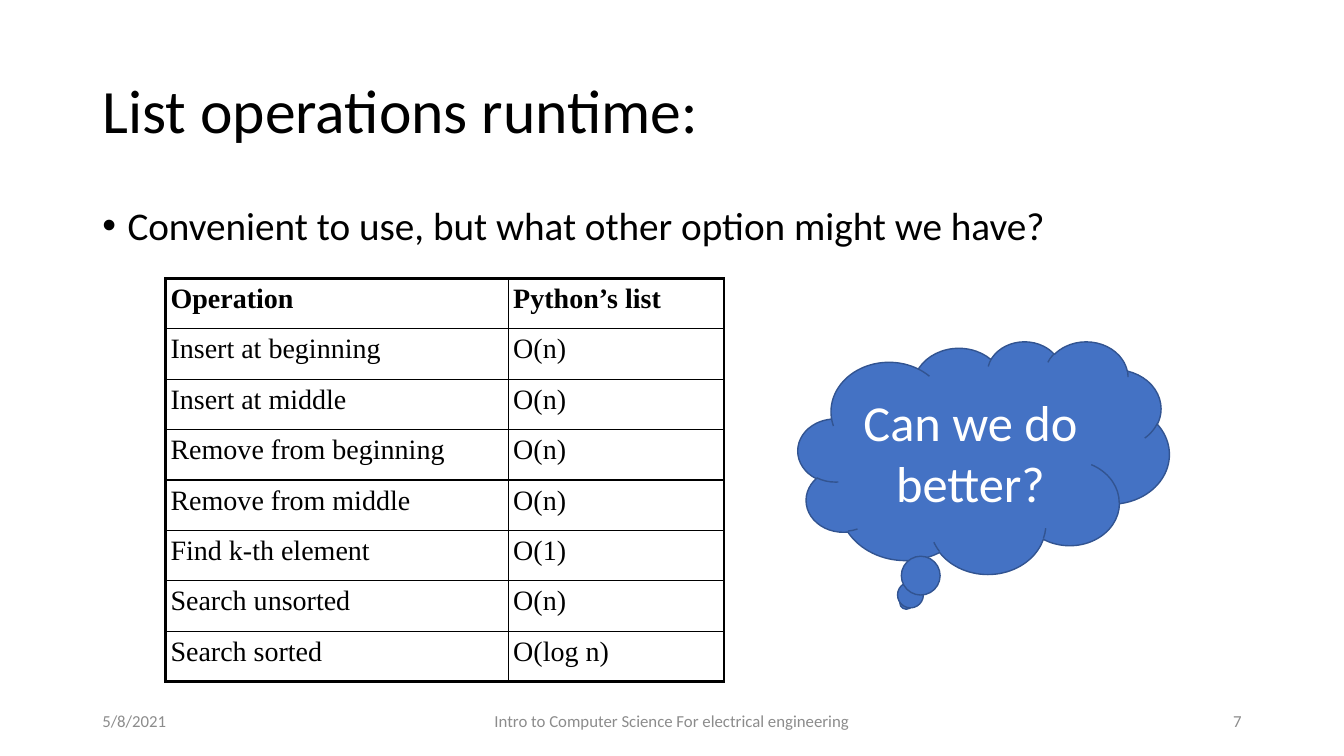
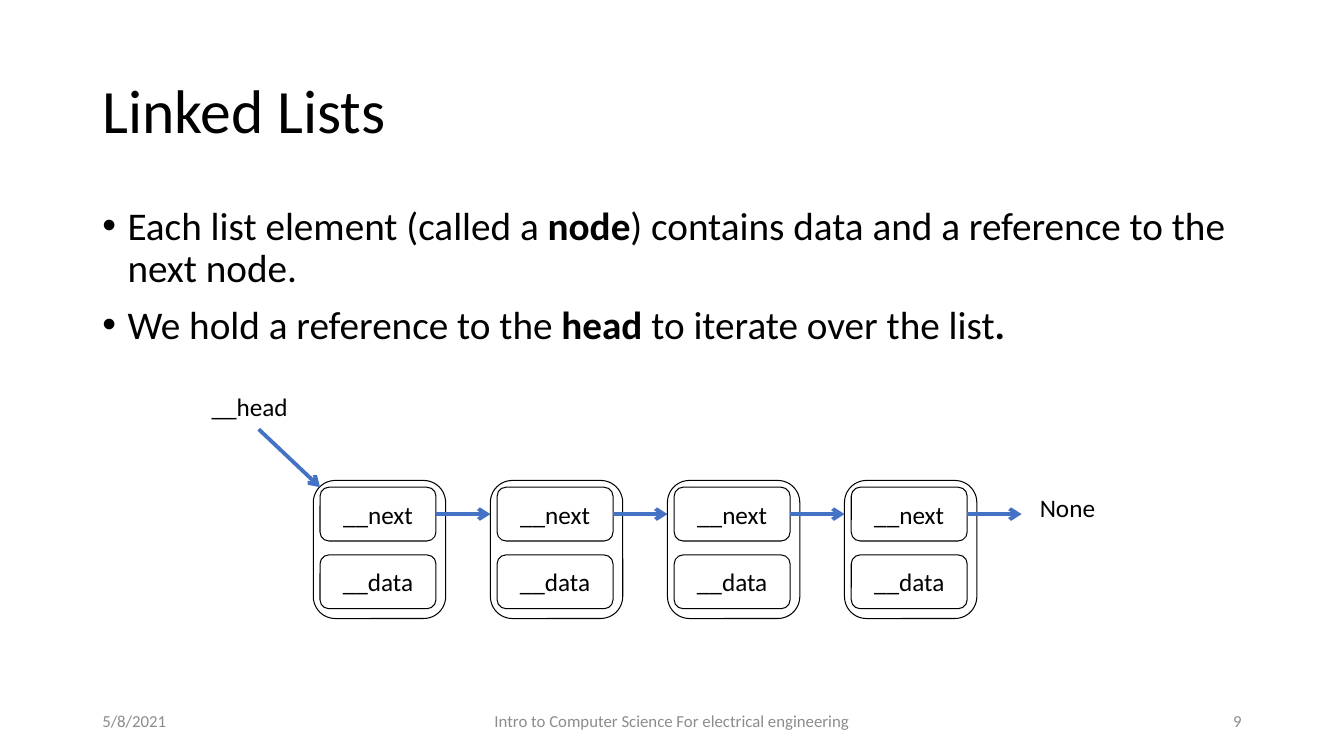
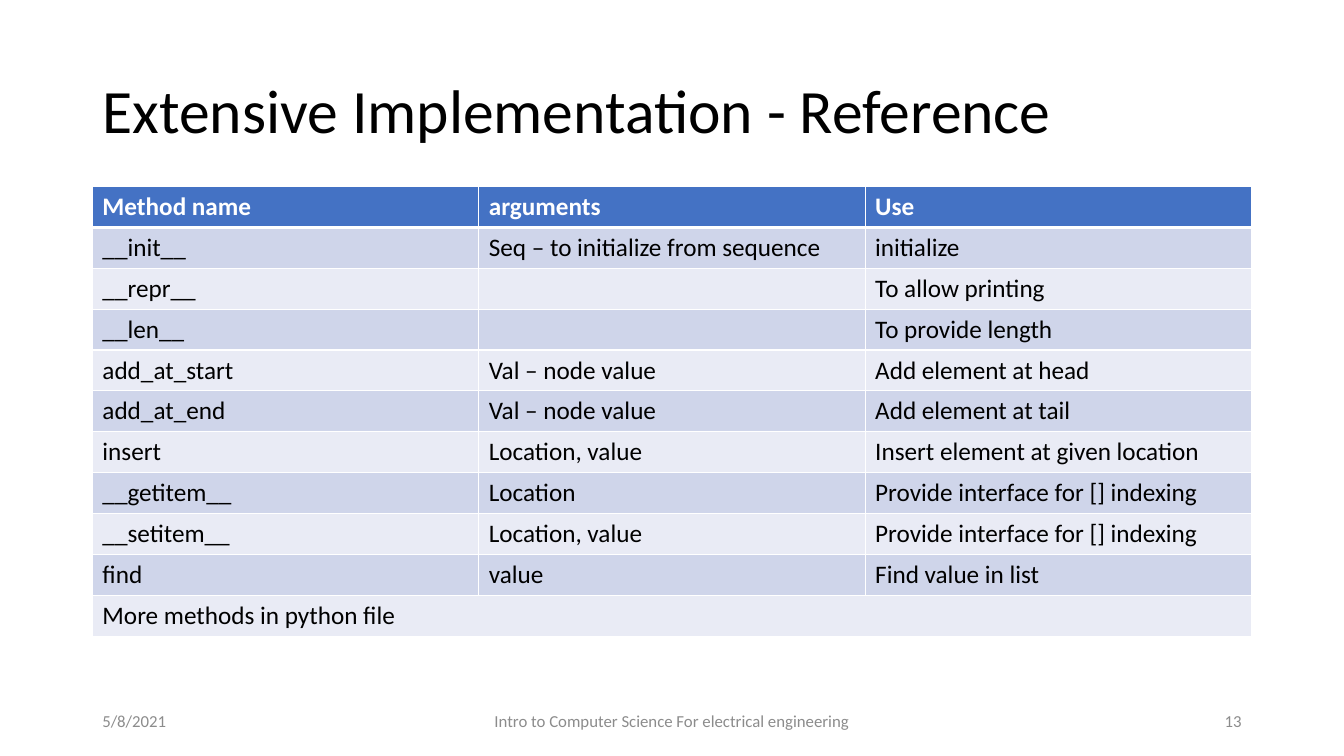
"""Build three lecture slides about Python lists and linked lists."""
from dataclasses import dataclass

from lxml import etree
from pptx import Presentation
from pptx import util as u
from pptx.dml.color import RGBColor
from pptx.enum import shapes, text
from pptx.oxml.ns import qn

LEFT, MID, RIGHT = text.PP_ALIGN.LEFT, text.PP_ALIGN.CENTER, text.PP_ALIGN.RIGHT
TOP, CORE = text.MSO_ANCHOR.TOP, text.MSO_ANCHOR.MIDDLE
COLS, ROWS = 160, 90


@dataclass(frozen=True)
class Theme:
    """Colours, fonts and type sizes of the deck."""
    ink: str = "000000"
    paper: str = "FFFFFF"
    blue: str = "4472C4"
    edge: str = "325491"
    grey: str = "8C8C8C"
    bands: tuple = ("E9EBF5", "CFD5EA")
    sans: str = "Calibri"
    serif: str = "Times New Roman"
    title: int = 44
    cloud: int = 36
    body: int = 28
    cell: int = 20
    label: int = 18
    foot: int = 12


@dataclass(frozen=True)
class Look:
    """Style of one table."""
    font: str
    size: int
    line: str
    ink: str
    outer: float = 1
    under: float = 1
    fill: str = ""
    bands: tuple = ("", "")
    pad: float = 0.1
    gap: int = 0


def tint(color):
    """Turn a hex string into a colour."""
    return RGBColor.from_string(color)


class Deck:
    """Hold the style, the current slide and the elements to draw."""

    def __init__(self, theme):
        """Start a wide presentation."""
        self.theme = theme
        self.show = Presentation()
        self.show.slide_width = u.Inches(13.333)
        self.show.slide_height = u.Inches(7.5)
        self.slide = None

    def place(self, *spots):
        """Turn alternating grid columns and rows into lengths."""
        units = (self.show.slide_width / COLS, self.show.slide_height / ROWS)
        return [u.Emu(round(spot * units[i % 2])) for i, spot in enumerate(spots)]

    def page(self, title, number):
        """Add a slide with its title and footer."""
        theme = self.theme
        self.slide = self.show.slides.add_slide(self.show.slide_layouts[6])
        self.words((11, 4.8, 138, 17.4), title, theme.title, anchor=CORE, lead=0.9)
        feet = (
            (11, 36, "5/8/2021", LEFT),
            (53, 54, "Intro to Computer Science For electrical engineering", MID),
            (113, 36, str(number), RIGHT),
        )
        for x, wide, line, align in feet:
            self.words((x, 83.4, wide, 4.8), line, theme.foot, theme.grey, align, CORE)

    def run(self, para, line, size, color, bold=False, font=None):
        """Add one styled run."""
        run = para.add_run()
        run.text = line
        run.font.name = font or self.theme.sans
        run.font.size = u.Pt(size)
        run.font.bold = bold
        run.font.color.rgb = tint(color)

    def words(self, box, line, size, color=None, align=LEFT, anchor=TOP, lead=None):
        """Add a text box with one line of text."""
        frame = self.slide.shapes.add_textbox(*self.place(*box)).text_frame
        frame.word_wrap = True
        frame.vertical_anchor = anchor
        para = frame.paragraphs[0]
        para.alignment = align
        para.line_spacing = lead
        self.run(para, line, size, color or self.theme.ink)

    def points(self, items):
        """Add bullets whose runs alternate between plain and bold."""
        frame = self.slide.shapes.add_textbox(*self.place(11, 24, 138, 57)).text_frame
        frame.word_wrap = True
        for i, runs in enumerate(items):
            para = frame.add_paragraph() if i else frame.paragraphs[0]
            para.line_spacing = 0.9
            para.space_before = u.Pt(10)
            for j, line in enumerate(runs):
                self.run(para, line, self.theme.body, self.theme.ink, j % 2 == 1)
            props = para._p.get_or_add_pPr()
            props.set("marL", str(u.Inches(0.25)))
            props.set("indent", str(-u.Inches(0.25)))
            etree.SubElement(props, qn("a:buFont")).set("typeface", "Arial")
            etree.SubElement(props, qn("a:buChar")).set("char", "•")

    def shape(self, kind, box, line, width, fill="", label="", size=18, color=None):
        """Add a preset shape with centred text."""
        shape = self.slide.shapes.add_shape(kind, *self.place(*box))
        shape.shadow.inherit = False
        if fill:
            shape.fill.solid()
            shape.fill.fore_color.rgb = tint(fill)
        else:
            shape.fill.background()
        shape.line.color.rgb = tint(line)
        shape.line.width = u.Pt(width)
        if label:
            frame = shape.text_frame
            frame.word_wrap = True
            frame.vertical_anchor = CORE
            para = frame.paragraphs[0]
            para.alignment = MID
            self.run(para, label, size, color or self.theme.ink)
        return shape

    def arrow(self, start, end, source=None):
        """Add an arrow, joined to the right side of its source if given."""
        link = self.slide.shapes.add_connector(
            shapes.MSO_CONNECTOR.STRAIGHT, *self.place(*start, *end))
        if source is not None:
            link.begin_connect(source, 3)
        link.line.color.rgb = tint(self.theme.blue)
        link.line.width = u.Pt(2.75)
        etree.SubElement(link.line._get_or_add_ln(), qn("a:tailEnd")).set("type", "arrow")
        etree.SubElement(link._element.spPr, qn("a:effectLst"))

    def node(self, x, y):
        """Add a list node and return its reference box."""
        kind = shapes.MSO_SHAPE.ROUNDED_RECTANGLE
        ink = self.theme.ink
        self.shape(kind, (x, y, 15.76, 16.44), ink, 0.75)
        ref, _ = [
            self.shape(kind, (x + 0.8, y + 0.8 + 8.06 * i, 13.8, 6.4), ink, 0.75,
                       label=label, size=self.theme.label)
            for i, label in enumerate(("__next", "__data"))
        ]
        return ref

    def rule(self, cell, widths, color):
        """Draw the left, right, top and bottom borders of a cell."""
        props = cell._tc.get_or_add_tcPr()
        for i, (side, width) in enumerate(zip("LRTB", widths)):
            line = etree.Element(qn("a:ln" + side), w=str(u.Pt(width)))
            fill = etree.SubElement(line, qn("a:solidFill"))
            etree.SubElement(fill, qn("a:srgbClr")).set("val", color)
            props.insert(i, line)

    def table(self, spot, wides, high, rows, look):
        """Add a table with a header row."""
        tall, wide = len(rows), len(wides)
        box = self.place(*spot, sum(wides), high * tall)
        grid = self.slide.shapes.add_table(tall, wide, *box).table
        grid.first_row = grid.horz_banding = False
        for col, size in zip(grid.columns, wides):
            col.width = self.place(size)[0]
        for r, row in enumerate(rows):
            grid.rows[r].height = self.place(0, high)[1]
            above = look.outer if r == 0 else look.under if r == 1 else 1
            below = look.outer if r == tall - 1 else look.under if r == 0 else 1
            fill = look.bands[r % 2] if r else look.fill
            for c in range(wide):
                cell = grid.cell(r, c)
                cell.margin_left = cell.margin_right = u.Inches(look.pad)
                cell.margin_top = cell.margin_bottom = u.Inches(0.05)
                if fill:
                    cell.fill.solid()
                    cell.fill.fore_color.rgb = tint(fill)
                else:
                    cell.fill.background()
                left = look.outer if c == 0 else 1
                right = look.outer if c == wide - 1 else 1
                self.rule(cell, (left, right, above, below), look.line)
                if c < len(row) and row[c]:
                    para = cell.text_frame.paragraphs[0]
                    para.space_before = u.Pt(look.gap)
                    color = self.theme.ink if r else look.ink
                    self.run(para, row[c], look.size, color, r == 0, look.font)
            if len(row) < wide:
                grid.cell(r, len(row) - 1).merge(grid.cell(r, wide - 1))


def costs(deck):
    """Draw the slide of list run times."""
    theme = deck.theme
    deck.page("List operations runtime:", 7)
    deck.points([["Convenient to use, but what other option might we have?"]])
    rows = (
        ("Operation", "Python’s list"),
        ("Insert at beginning", "O(n)"),
        ("Insert at middle", "O(n)"),
        ("Remove from beginning", "O(n)"),
        ("Remove from middle", "O(n)"),
        ("Find k-th element", "O(1)"),
        ("Search unsorted", "O(n)"),
        ("Search sorted", "O(log n)"),
    )
    look = Look(theme.serif, theme.cell, theme.ink, theme.ink, outer=2.25, pad=0.05, gap=4)
    deck.table((19.7, 33.15), (40.8, 25.7), 6, rows, look)
    deck.shape(shapes.MSO_SHAPE.CLOUD_CALLOUT, (95, 40.6, 44.2, 27.7), theme.edge, 1,
               theme.blue, "Can we do better?", theme.cloud, theme.paper)


def chain(deck):
    """Draw the slide of linked nodes."""
    theme = deck.theme
    deck.page("Linked Lists", 9)
    deck.points([
        ["Each list element (called a ", "node",
         ") contains data and a reference to the next node."],
        ["We hold a reference to the ", "head ", "to iterate over the list", "."],
    ])
    first, top, step = 37.3, 57.2, 21.08
    for i in range(4):
        x = first + step * i
        ref = deck.node(x, top)
        deck.arrow((x + 14.6, top + 4), (x + step, top + 4), ref)
    deck.words((24, 46, 15.5, 5.8), "__head", theme.label)
    deck.arrow((30.8, 51.1), (first + 0.8, top + 0.8))
    deck.words((122.6, 58, 13.5, 5.8), "None", theme.label)


def methods(deck):
    """Draw the slide of class methods."""
    theme = deck.theme
    deck.page("Extensive Implementation - Reference", 13)
    rows = (
        ("Method name", "arguments", "Use"),
        ("__init__", "Seq – to initialize from sequence", "initialize"),
        ("__repr__", "", "To allow printing"),
        ("__len__", "", "To provide length"),
        ("add_at_start", "Val – node value", "Add element at head"),
        ("add_at_end", "Val – node value", "Add element at tail"),
        ("insert", "Location, value", "Insert element at given location"),
        ("__getitem__", "Location", "Provide interface for [] indexing"),
        ("__setitem__", "Location, value", "Provide interface for [] indexing"),
        ("find", "value", "Find value in list"),
        ("More methods in python file",),
    )
    look = Look(theme.sans, theme.label, theme.paper, theme.paper, under=3,
                fill=theme.blue, bands=theme.bands)
    deck.table((11, 22.2), (46, 46, 46), 4.87, rows, look)


def main():
    """Build and save the deck."""
    deck = Deck(Theme())
    for draw in (costs, chain, methods):
        draw(deck)
    deck.show.save("out.pptx")


if __name__ == "__main__":
    main()
